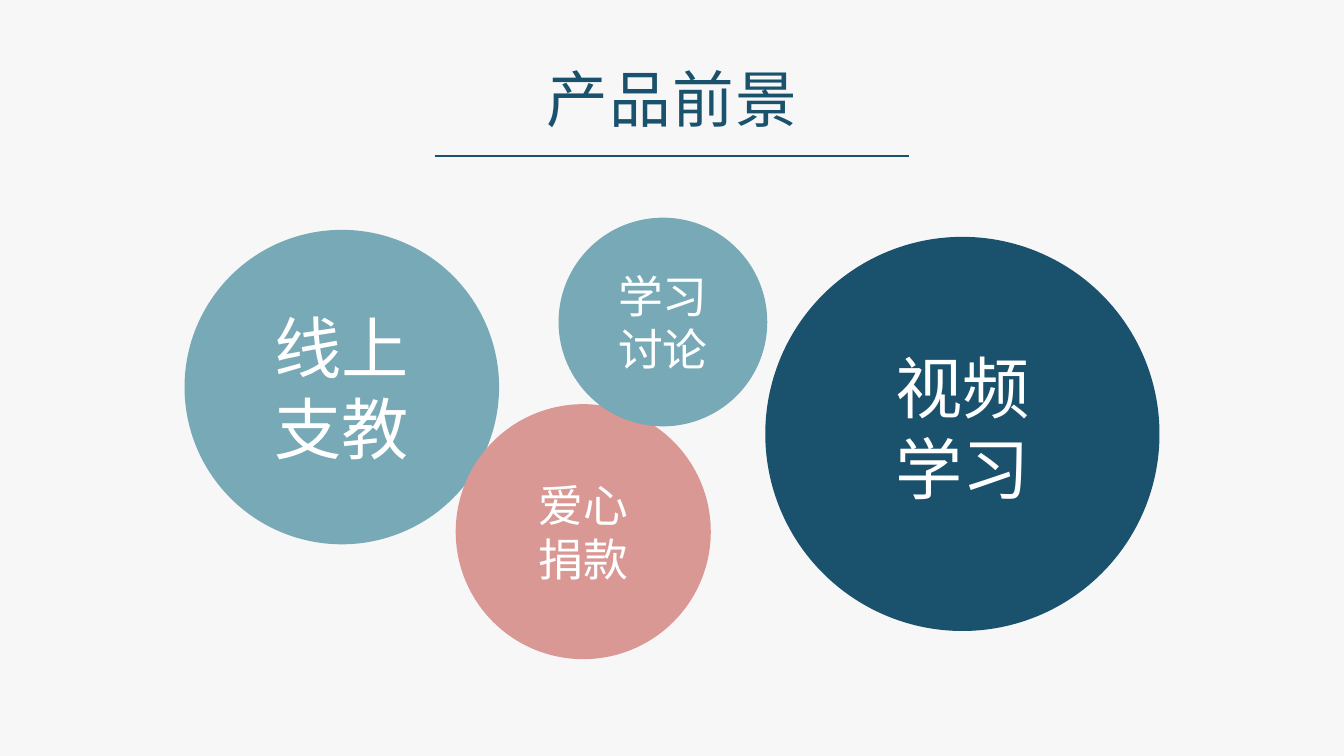
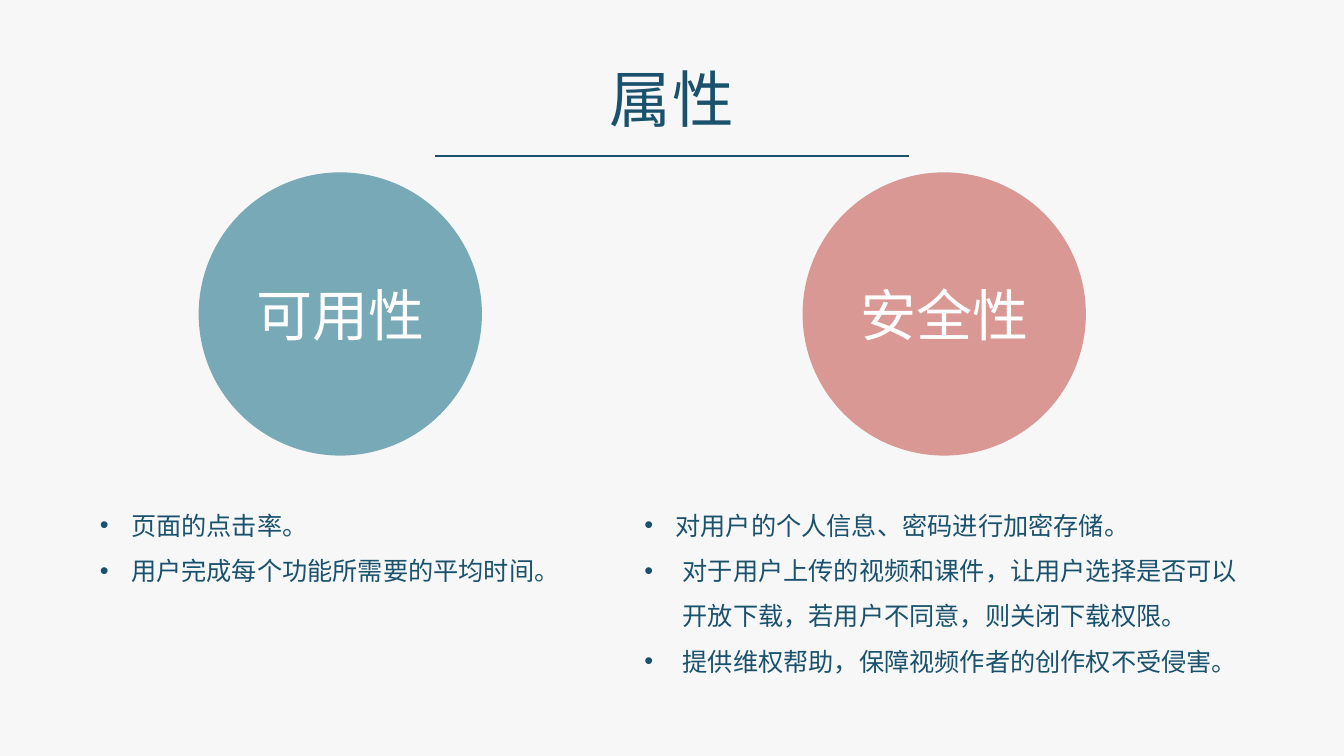
from math import sqrt

from lxml.etree import SubElement
from pptx import Presentation
from pptx.dml.color import RGBColor
from pptx.enum.lang import MSO_LANGUAGE_ID
from pptx.enum.shapes import MSO_CONNECTOR, MSO_SHAPE
from pptx.enum.text import MSO_ANCHOR, MSO_AUTO_SIZE, PP_ALIGN
from pptx.oxml.ns import qn
from pptx.util import Inches, Pt

COLORS = {
    "paper": "F7F7F7",
    "navy": "1A526D",
    "teal": "78A9B7",
    "rose": "D99894",
    "white": "FFFFFF",
}
FONT = "Lato"
TITLE_ONLY, TWO_CONTENT = 5, 3
RULE_LEFT, RULE_RIGHT, RULE_TOP = 4.31, 9.02, 1.55


def color(name):
    return RGBColor.from_string(COLORS[name])


def add_run(paragraph, text, size, color_name, spacing=0):
    run = paragraph.add_run()
    run.text = text
    font = run.font
    font.size = Pt(size)
    font.name = FONT
    font.color.rgb = color(color_name)
    font.language_id = MSO_LANGUAGE_ID.SIMPLIFIED_CHINESE
    properties = run._r.get_or_add_rPr()
    SubElement(properties, qn("a:ea")).set("typeface", FONT)
    if spacing:
        properties.set("spc", str(spacing * 100))


def place(shape, left, top, width, height):
    shape.left, shape.top = Inches(left), Inches(top)
    shape.width, shape.height = Inches(width), Inches(height)


def add_titled_slide(prs, layout, heading):
    """Add a slide with a centred title above a thin rule."""
    slide = prs.slides.add_slide(prs.slide_layouts[layout])
    title = slide.shapes.title
    place(title, RULE_LEFT, 0.55, RULE_RIGHT - RULE_LEFT, 0.84)
    frame = title.text_frame
    frame.auto_size = MSO_AUTO_SIZE.NONE
    frame.vertical_anchor = MSO_ANCHOR.MIDDLE
    frame.paragraphs[0].alignment = PP_ALIGN.CENTER
    add_run(frame.paragraphs[0], heading, 44, "navy", spacing=1)

    rule = slide.shapes.add_connector(
        MSO_CONNECTOR.STRAIGHT,
        Inches(RULE_LEFT), Inches(RULE_TOP), Inches(RULE_RIGHT), Inches(RULE_TOP))
    rule.line.color.rgb = color("navy")
    rule.line.width = Pt(1.5)
    SubElement(rule._element.spPr, qn("a:effectLst"))
    return slide


def add_circle(slide, left, top, diameter, fill, label, size, per_line, lift=0):
    """Add a labelled circle, wrapping after per_line characters."""
    circle = slide.shapes.add_shape(
        MSO_SHAPE.OVAL, Inches(left), Inches(top), Inches(diameter), Inches(diameter))
    circle.shadow.inherit = False
    circle.fill.solid()
    circle.fill.fore_color.rgb = color(fill)
    circle.line.fill.background()

    frame = circle.text_frame
    frame.word_wrap = True
    frame.vertical_anchor = MSO_ANCHOR.MIDDLE
    label_width = (per_line + 0.37) * size / 72
    side = (diameter / sqrt(2) - label_width) / 2
    frame.margin_left = frame.margin_right = Inches(max(side, 0))
    frame.margin_top = 0
    frame.margin_bottom = Inches(2 * lift)
    frame.paragraphs[0].alignment = PP_ALIGN.CENTER
    add_run(frame.paragraphs[0], label, size, "white")


def fill_list(body, left, top, width, height, items):
    """Place a body placeholder and fill it with (text, indent) bullets."""
    place(body, left, top, width, height)
    frame = body.text_frame
    frame.auto_size = MSO_AUTO_SIZE.NONE
    for index, (text, indent) in enumerate(items):
        paragraph = frame.add_paragraph() if index else frame.paragraphs[0]
        properties = paragraph._p.get_or_add_pPr()
        properties.set("marL", str(Inches(indent)))
        properties.set("indent", str(-Inches(indent)))
        paragraph.line_spacing = 1.5
        paragraph.space_before = Pt(0)
        add_run(paragraph, text, 18, "navy")


def build_prospects(prs):
    slide = add_titled_slide(prs, TITLE_ONLY, "产品前景")
    add_circle(slide, 7.59, 2.35, 3.91, "navy", "视频学习", 48, 2, lift=0.07)
    add_circle(slide, 1.83, 2.28, 3.12, "teal", "线上支教", 48, 2)
    add_circle(slide, 4.52, 4.01, 2.53, "rose", "爱心捐款", 32, 2)
    add_circle(slide, 5.54, 2.16, 2.07, "teal", "学习讨论", 32, 2)


def build_attributes(prs):
    slide = add_titled_slide(prs, TWO_CONTENT, "属性")
    for left, fill, label in ((1.97, "teal", "可用性"), (7.96, "rose", "安全性")):
        add_circle(slide, left, 1.71, 2.81, fill, label, 40, 3)

    usability, security = list(slide.placeholders)[1:]
    fill_list(usability, 0.89, 4.86, 4.97, 0.96, [
        ("页面的点击率。", 0.31),
        ("用户完成每个功能所需要的平均时间。", 0.31),
    ])
    fill_list(security, 6.29, 4.86, 6.15, 1.86, [
        ("对用户的个人信息、密码进行加密存储。", 0.31),
        ("对于用户上传的视频和课件，让用户选择是否可以开放下载，"
         "若用户不同意，则关闭下载权限。", 0.38),
        ("提供维权帮助，保障视频作者的创作权不受侵害。", 0.38),
    ])


def main():
    prs = Presentation()
    prs.slide_width, prs.slide_height = Inches(13.33), Inches(7.5)
    background = prs.slide_master.background.fill
    background.solid()
    background.fore_color.rgb = color("paper")
    build_prospects(prs)
    build_attributes(prs)
    prs.save("out.pptx")


if __name__ == "__main__":
    main()
